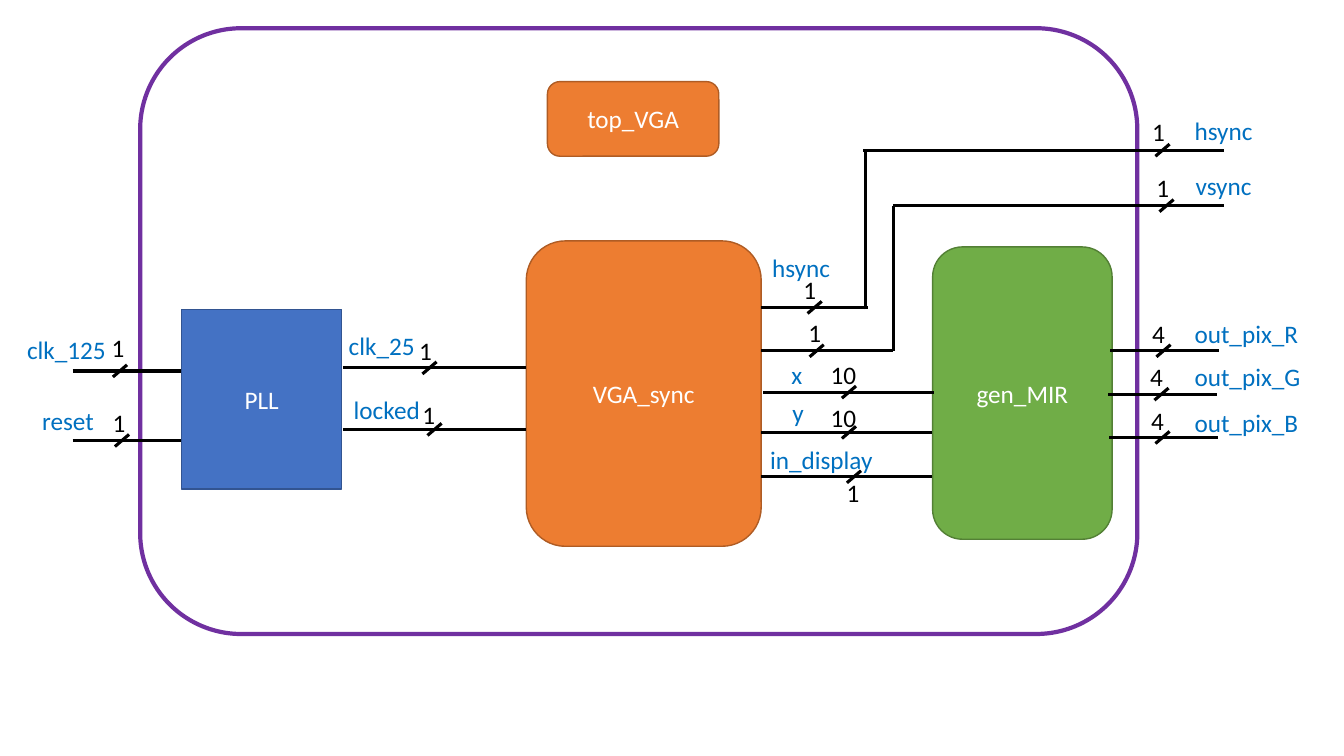
from dataclasses import dataclass

import pptx
import pptx.dml.color
import pptx.enum.shapes
import pptx.enum.text
import pptx.oxml.ns
import pptx.util
from lxml import etree

PX = 9144  # EMU: 100 px to the inch
FONT = "Calibri"
BLACK, WHITE, BLUE = "000000", "FFFFFF", "0070C0"
RECT = pptx.enum.shapes.MSO_SHAPE.RECTANGLE
ROUND = pptx.enum.shapes.MSO_SHAPE.ROUNDED_RECTANGLE


@dataclass
class Block:
    kind: pptx.enum.shapes.MSO_SHAPE
    left: int
    top: int
    width: int
    height: int
    fill: str
    line: str
    line_pt: float = 1
    name: str = ""


@dataclass
class Label:
    text: str
    left: int
    top: int
    width: int


@dataclass
class Signal:
    """A horizontal wire with a bus slash, its bit width and its name."""
    left: int
    right: int
    y: int
    slash_x: int
    bits: Label
    name: Label | None = None


BLOCKS = [
    Block(ROUND, 139, 28, 989, 601, WHITE, "7030A0", 3),
    Block(RECT, 180, 307, 159, 178, "4472C4", "325491", name="PLL"),
    Block(ROUND, 522, 239, 233, 303, "ED7D31", "AF5C24", name="VGA_sync"),
    Block(ROUND, 925, 245, 178, 290, "70AD47", "538035", name="gen_MIR"),
    Block(ROUND, 543, 81, 170, 74, "ED7D31", "AF5C24", name="top_VGA"),
]

SIGNALS = [
    Signal(72, 180, 368, 119, Label("1", 101, 325, 33), Label("clk_125", 17, 327, 117)),
    Signal(72, 180, 437, 121, Label("1", 102, 399, 33), Label("reset", 32, 397, 78)),
    Signal(340, 522, 365, 426, Label("1", 406, 328, 33), Label("clk_25", 336, 323, 101)),
    Signal(340, 522, 426, 431, Label("1", 409, 391, 33), Label("locked", 341, 386, 93)),
    Signal(755, 861, 305, 808, Label("1", 787, 267, 33), Label("hsync", 756, 245, 103)),
    Signal(755, 886, 348, 810, Label("1", 792, 310, 33)),
    Signal(757, 926, 389, 842, Label("10", 814, 352, 46), Label("x", 775, 352, 45)),
    Signal(755, 924, 429, 842, Label("10", 814, 394, 46), Label("y", 776, 389, 45)),
    Signal(755, 924, 473, 847, Label("1", 830, 469, 33), Label("in_display", 754, 436, 160)),
    Signal(856, 1214, 149, 1153, Label("1", 1133, 111, 33), Label("hsync", 1175, 109, 103)),
    Signal(886, 1214, 204, 1157, Label("1", 1137, 166, 33), Label("vsync", 1176, 164, 103)),
    Signal(1101, 1209, 348, 1154, Label("4", 1133, 311, 33), Label("out_pix_R", 1175, 311, 133)),
    Signal(1099, 1207, 391, 1152, Label("4", 1131, 354, 33), Label("out_pix_G", 1175, 354, 133)),
    Signal(1100, 1208, 434, 1153, Label("4", 1132, 397, 33), Label("out_pix_B", 1175, 399, 133)),
]

# x, bottom and top of the wires that lead hsync and vsync upwards
RISERS = [(858, 307, 149), (886, 348, 204)]


def rgb(color: str) -> pptx.dml.color.RGBColor:
    return pptx.dml.color.RGBColor.from_string(color)


def set_text(tf, text: str, color: str) -> None:
    tf.text = text
    font = tf.paragraphs[0].runs[0].font
    font.name, font.size = FONT, pptx.util.Pt(18)
    font.color.rgb = rgb(color)


def add_block(s, block: Block) -> None:
    sp = s.shapes.add_shape(block.kind, block.left * PX, block.top * PX,
                            block.width * PX, block.height * PX)
    sp.shadow.inherit = False
    sp.fill.solid()
    sp.fill.fore_color.rgb = rgb(block.fill)
    sp.line.color.rgb = rgb(block.line)
    sp.line.width = pptx.util.Pt(block.line_pt)
    if block.name:
        tf = sp.text_frame
        set_text(tf, block.name, WHITE)
        tf.vertical_anchor = pptx.enum.text.MSO_ANCHOR.MIDDLE
        tf.paragraphs[0].alignment = pptx.enum.text.PP_ALIGN.CENTER


def add_wire(s, x1: int, y1: int, x2: int, y2: int) -> None:
    wire = s.shapes.add_connector(pptx.enum.shapes.MSO_CONNECTOR.STRAIGHT,
                                  x1 * PX, y1 * PX, x2 * PX, y2 * PX)
    wire.line.color.rgb = rgb(BLACK)
    wire.line.width = pptx.util.Pt(2.25)
    etree.SubElement(wire._element.spPr, pptx.oxml.ns.qn("a:effectLst"))


def add_label(s, label: Label, color: str, wrap: bool) -> None:
    box = s.shapes.add_textbox(label.left * PX, label.top * PX, label.width * PX, 40 * PX)
    tf = box.text_frame
    tf.word_wrap = wrap
    tf.auto_size = pptx.enum.text.MSO_AUTO_SIZE.SHAPE_TO_FIT_TEXT
    set_text(tf, label.text, color)


def add_signal(s, signal: Signal) -> None:
    add_wire(s, signal.left, signal.y, signal.right, signal.y)
    add_wire(s, signal.slash_x - 7, signal.y + 6, signal.slash_x + 7, signal.y - 6)
    add_label(s, signal.bits, BLACK, wrap=False)
    if signal.name:
        add_label(s, signal.name, BLUE, wrap=True)


def main() -> None:
    prs = pptx.Presentation()
    prs.slide_width, prs.slide_height = 1333 * PX, 750 * PX
    s = prs.slides.add_slide(prs.slide_layouts[6])
    for block in BLOCKS:
        add_block(s, block)
    for signal in SIGNALS:
        add_signal(s, signal)
    for x, bottom, top in RISERS:
        add_wire(s, x, bottom, x, top)
    prs.save("out.pptx")


if __name__ == "__main__":
    main()
